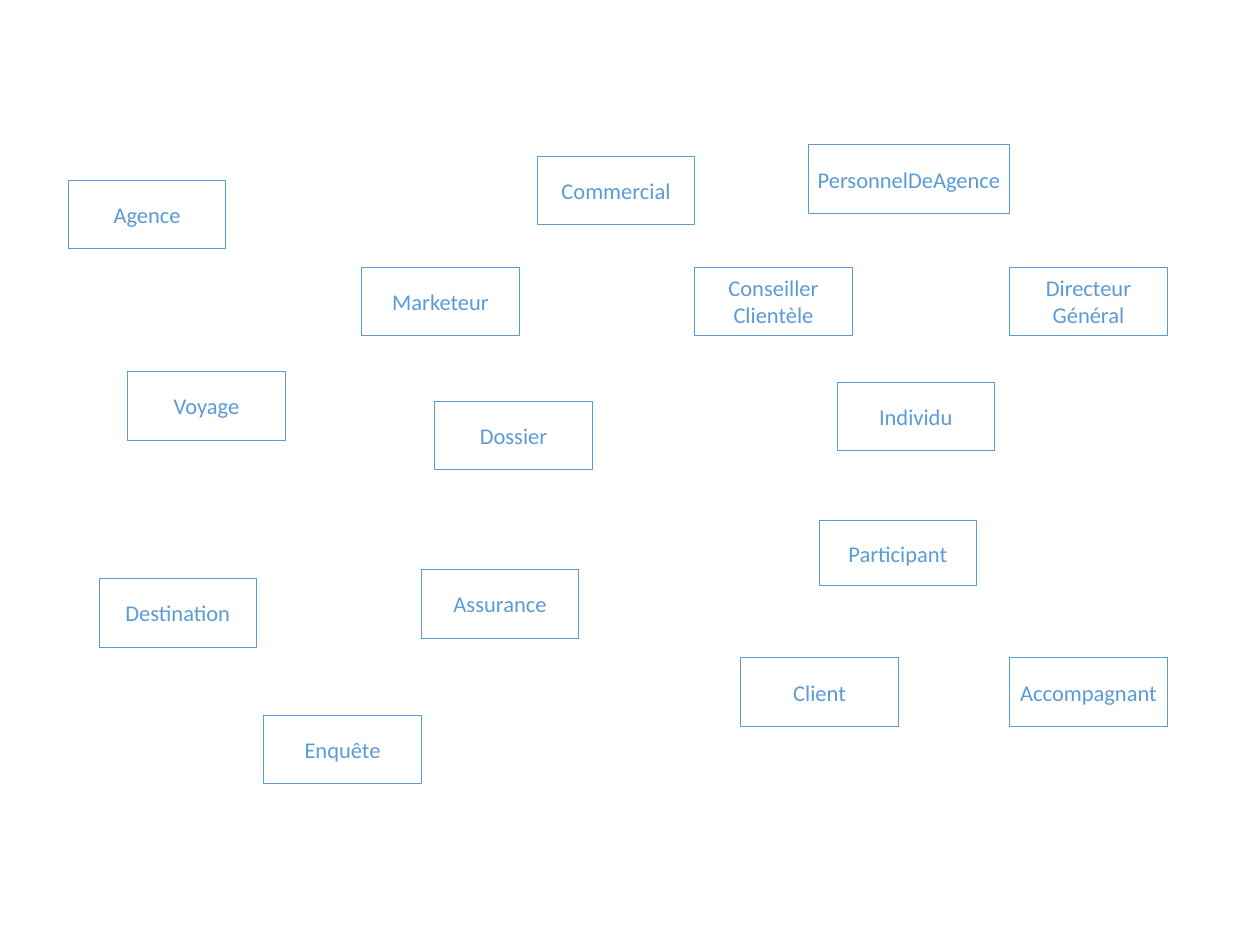
"""Build a slide of the classes of a travel agency's domain model."""
from pptx import Presentation
from pptx.dml.color import RGBColor
from pptx.enum.shapes import MSO_SHAPE as Shape
from pptx.enum.text import MSO_ANCHOR as Anchor, PP_ALIGN as Align
from pptx.util import Pt

COLORS = {"class": "5B9BD5"}
FONT = "Calibri"
BOX_W, BOX_H = 126, 54.7
MANAGER_ROW, CLIENT_ROW, RIGHT_COL = 213.8, 526.3, 807.8

CLASSES = [
    ("Agence", 54.7, 144),
    ("Voyage", 102.2, 297.4),
    ("Accompagnant", RIGHT_COL, CLIENT_ROW),
    ("Destination", 79.2, 463),
    ("Client", 592.6, CLIENT_ROW),
    ("Dossier", 347.8, 321.1),
    ("Participant", 655.2, 416.2, BOX_W, 52.6),
    ("Enquête", 211, 572.4),
    ("Commercial", 429.8, 125.3),
    ("Assurance", 337, 455.8),
    ("Individu", 669.6, 306),
    ("PersonnelDeAgence", 646.6, 115.9, 161.3),
    ("Directeur Général", RIGHT_COL, MANAGER_ROW),
    ("Conseiller Clientèle", 555.8, MANAGER_ROW),
    ("Marketeur", 289.4, MANAGER_ROW),
]


def add_class(s, name, x, y, w=BOX_W, h=BOX_H):
    """Add an outlined class box with its centred name."""
    sp = s.shapes.add_shape(Shape.RECTANGLE, Pt(x), Pt(y), Pt(w), Pt(h))
    color = RGBColor.from_string(COLORS["class"])
    sp.shadow.inherit = False
    sp.fill.background()
    sp.line.color.rgb = color
    sp.line.width = Pt(0.75)
    tf = sp.text_frame
    tf.word_wrap = True
    tf.vertical_anchor = Anchor.MIDDLE
    p = tf.paragraphs[0]
    p.alignment = Align.CENTER
    r = p.add_run()
    r.text = name
    r.font.name = FONT
    r.font.size = Pt(18)
    r.font.color.rgb = color


def main():
    """Lay out the class boxes and save the slide."""
    prs = Presentation()
    prs.slide_width, prs.slide_height = Pt(1008), Pt(756)
    s = prs.slides.add_slide(prs.slide_layouts[6])
    for box in CLASSES:
        add_class(s, *box)
    prs.save("out.pptx")


if __name__ == "__main__":
    main()
